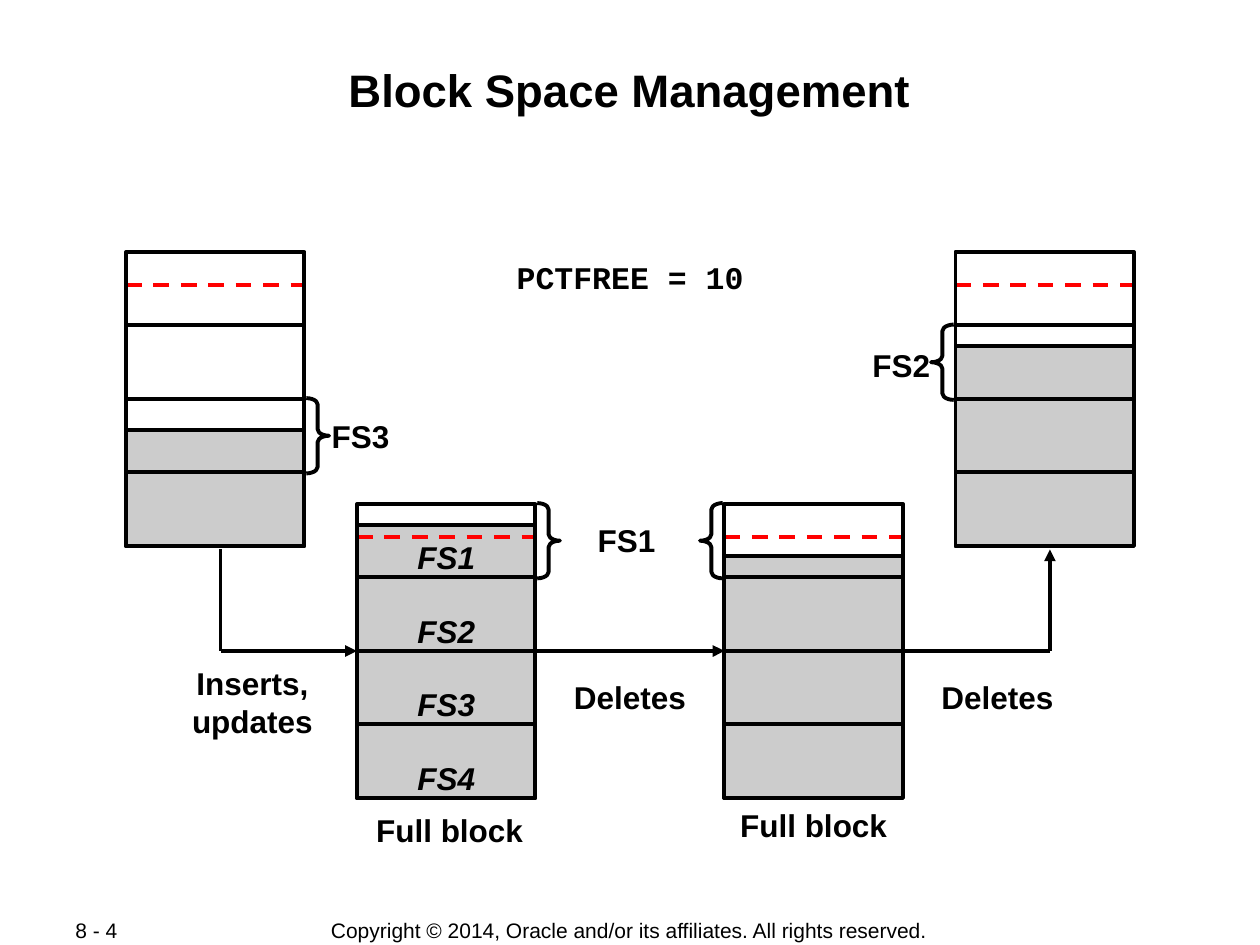
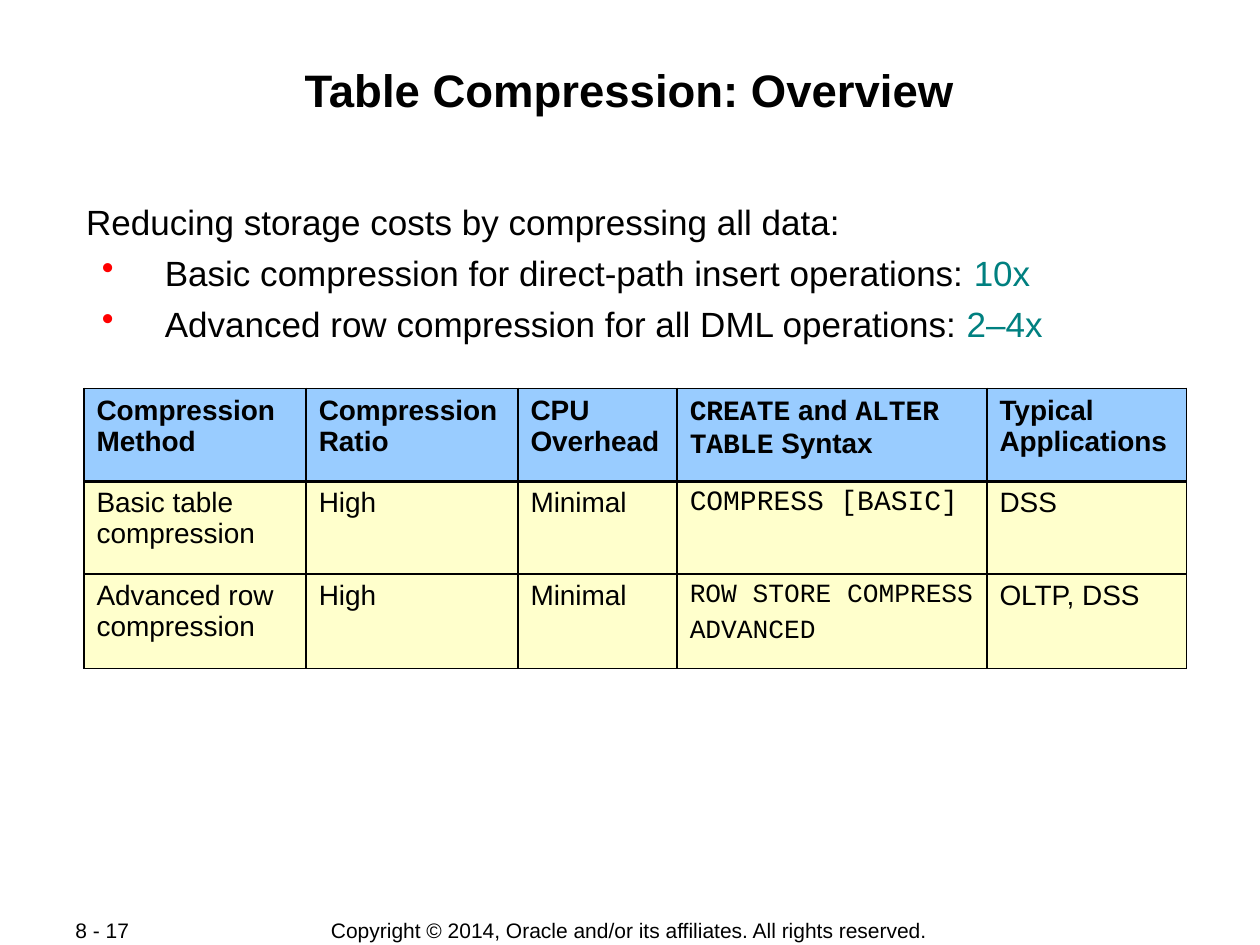
from collections import namedtuple
from dataclasses import dataclass

from lxml.etree import SubElement
from pptx import Presentation
from pptx.dml.color import RGBColor
from pptx.enum.dml import MSO_LINE
from pptx.enum.shapes import MSO_CONNECTOR, MSO_SHAPE
from pptx.enum.text import MSO_ANCHOR, MSO_AUTO_SIZE, PP_ALIGN
from pptx.oxml.ns import qn
from pptx.util import Pt

Box = namedtuple("Box", "x y w h")
Run = namedtuple("Run", "text changes")


@dataclass(frozen=True)
class Theme:
    ink: str = "000000"
    used: str = "CCCCCC"
    accent: str = "FF0000"
    ratio: str = "008080"
    header: str = "99CCFF"
    row: str = "FFFFCC"
    sans: str = "Arial"
    mono: str = "Courier New"
    title: int = 26
    body: int = 20
    label: int = 18
    cell: int = 16
    code: int = 15
    footer: int = 12
    stroke: float = 2.25
    thin: float = 1.08
    thick: float = 2.21


THEME = Theme()
LEVELS = ["FS1", "FS2", "FS3", "FS4"]
LEVEL_HEIGHT = 42
LIMIT_OFFSET = 19
BRACE_WIDTH, BRACE_HEIGHT, BRACE_GAP = 13, 43, 1


def rgb(value):
    return RGBColor.from_string(value)


def points(*lengths):
    return [Pt(length) for length in lengths]


def style(run, size, font=THEME.sans, color=THEME.ink, bold=False, italic=False):
    run.font.size = Pt(size)
    run.font.name = font
    run.font.color.rgb = rgb(color)
    run.font.bold = bold
    run.font.italic = italic


def write(paragraph, parts, **look):
    for part in parts:
        run = paragraph.add_run()
        run.text = part.text
        style(run, **{**look, **part.changes})


def set_insets(frame, inset):
    frame.margin_left = frame.margin_right = Pt(inset)
    frame.margin_top = frame.margin_bottom = Pt(inset)


def add_label(slide, box, text, size=THEME.label, align=PP_ALIGN.CENTER,
              anchor=MSO_ANCHOR.TOP, wrap=True, **look):
    frame = slide.shapes.add_textbox(*points(*box)).text_frame
    frame.word_wrap = wrap
    frame.vertical_anchor = anchor
    paragraph = frame.paragraphs[0]
    paragraph.text = text
    paragraph.alignment = align
    for run in paragraph.runs:
        style(run, size, **look)


def add_outline(slide, kind, box, fill=None):
    shape = slide.shapes.add_shape(kind, *points(*box))
    shape.shadow.inherit = False
    shape.line.color.rgb = rgb(THEME.ink)
    shape.line.width = Pt(THEME.stroke)
    if fill:
        shape.fill.solid()
        shape.fill.fore_color.rgb = rgb(fill)
    else:
        shape.fill.background()
    return shape


def add_line(slide, start, end, color=THEME.ink, dashed=False, arrow=False):
    line = slide.shapes.add_connector(MSO_CONNECTOR.STRAIGHT, *points(*start, *end))
    line.line.color.rgb = rgb(color)
    line.line.width = Pt(THEME.stroke)
    if dashed:
        line.line.dash_style = MSO_LINE.DASH
    if arrow:
        SubElement(line.line._get_or_add_ln(), qn("a:tailEnd"), type="triangle")
    SubElement(line._element.spPr, qn("a:effectLst"))


def add_titled_slide(deck, title, number):
    slide = deck.slides.add_slide(deck.slide_layouts[5])
    heading = slide.shapes.title
    heading.left, heading.top, heading.width, heading.height = points(48, 34.5, 623.5, 69)
    frame = heading.text_frame
    frame.text = title
    frame.auto_size = MSO_AUTO_SIZE.NONE
    frame.vertical_anchor = MSO_ANCHOR.TOP
    set_insets(frame, 0.72)
    frame.paragraphs[0].alignment = PP_ALIGN.CENTER
    style(frame.paragraphs[0].runs[0], THEME.title, bold=True)
    add_label(slide, Box(174.5, 524, 370, 15),
              "Copyright © 2014, Oracle and/or its affiliates. All rights reserved.",
              THEME.footer, anchor=MSO_ANCHOR.MIDDLE)
    add_label(slide, Box(36, 524, 76, 15), number, THEME.footer,
              PP_ALIGN.LEFT, MSO_ANCHOR.MIDDLE)
    return slide


def add_block(slide, box, used_height):
    add_outline(slide, MSO_SHAPE.RECTANGLE,
                Box(box.x, box.y + box.h - used_height, box.w, used_height), THEME.used)
    limit = box.y + LIMIT_OFFSET
    add_line(slide, (box.x, limit), (box.x + box.w, limit), THEME.accent, dashed=True)
    for level in range(len(LEVELS)):
        add_outline(slide, MSO_SHAPE.RECTANGLE,
                    Box(box.x, box.y + level * LEVEL_HEIGHT, box.w, LEVEL_HEIGHT))


def add_level_names(slide, box):
    for level, name in enumerate(LEVELS):
        add_label(slide, Box(box.x + 27, box.y + 16 + level * LEVEL_HEIGHT, 48, 29),
                  name, wrap=False, bold=True, italic=True)


def add_brace(slide, block, level, on_left):
    if on_left:
        kind, x = MSO_SHAPE.LEFT_BRACE, block.x - BRACE_GAP - BRACE_WIDTH
    else:
        kind, x = MSO_SHAPE.RIGHT_BRACE, block.x + block.w + BRACE_GAP
    brace = add_outline(slide, kind, Box(x, block.y + level * LEVEL_HEIGHT - 0.5,
                                         BRACE_WIDTH, BRACE_HEIGHT))
    brace.adjustments[0] = 0.28


def add_flow(slide, inserting, filled, emptied, freed):
    flow_y = filled.y + filled.h / 2
    drop_x, rise_x = inserting.x + 54, freed.x + 54
    below = inserting.y + inserting.h + 2
    add_line(slide, (drop_x, flow_y), (filled.x, flow_y), arrow=True)
    add_line(slide, (filled.x + filled.w, flow_y), (emptied.x, flow_y), arrow=True)
    add_line(slide, (drop_x, flow_y), (drop_x, below))
    add_line(slide, (emptied.x + emptied.w, flow_y), (rise_x, flow_y))
    add_line(slide, (rise_x, flow_y), (rise_x, below), arrow=True)
    add_label(slide, Box(102.5, flow_y + 4, 83.5, 50), "Inserts,\vupdates",
              wrap=False, bold=True)
    for x in (312, 522):
        add_label(slide, Box(x, flow_y + 12, 96, 29), "Deletes", bold=True)


def build_block_space(deck):
    slide = add_titled_slide(deck, "Block Space Management", "8 - 4")
    inserting, filled, emptied, freed = blocks = [
        Box(x, y, 102, LEVEL_HEIGHT * len(LEVELS))
        for x, y in ((72, 144), (204, 288), (414, 288), (546, 144))]
    add_flow(slide, *blocks)
    for block, used_height in zip(blocks, (66, 156, 138, 114)):
        add_block(slide, block, used_height)
    add_level_names(slide, filled)
    for block, level, on_left in ((inserting, 2, False), (filled, 0, False),
                                  (emptied, 0, True), (freed, 1, True)):
        add_brace(slide, block, level, on_left)
    for x, y, name in ((179, 235, "FS3"), (331, 294, "FS1"), (488, 194, "FS2")):
        add_label(slide, Box(x, y, 54, 29), name, bold=True)
    for block, shift, drop in ((filled, -5, 4), (emptied, -7, 1)):
        add_label(slide, Box(block.x + shift, block.y + block.h + drop, 116, 29),
                  "Full block", bold=True)
    add_label(slide, Box(276, 144, 168, 29), "PCTFREE = 10", font=THEME.mono, bold=True)


def add_bullet(paragraph):
    properties = paragraph._p.get_or_add_pPr()
    properties.set("marL", str(Pt(45)))
    properties.set("indent", str(Pt(-36)))
    color = SubElement(properties, qn("a:buClr"))
    SubElement(color, qn("a:srgbClr"), val=THEME.accent)
    SubElement(properties, qn("a:buChar"), char="•")


def add_savings(slide, box):
    frame = slide.shapes.add_textbox(*points(*box)).text_frame
    frame.word_wrap = True
    set_insets(frame, 0.72)
    intro = frame.paragraphs[0]
    intro.text = "Reducing storage costs by compressing all data:"
    style(intro.runs[0], THEME.body)
    for method, ratio in (
            ("Basic compression for direct-path insert operations: ", "10x"),
            ("Advanced row compression for all DML operations: ", "2–4x")):
        paragraph = frame.add_paragraph()
        paragraph.level = 1
        add_bullet(paragraph)
        paragraph.space_before = Pt(5)
        write(paragraph, [Run(method, {}), Run(ratio, {"color": THEME.ratio})],
              size=THEME.body)


def set_borders(cell, **widths):
    properties = cell._tc.get_or_add_tcPr()
    for position, side in enumerate(("L", "R", "T", "B")):
        border = properties.makeelement(qn(f"a:ln{side}"),
                                        {"w": str(Pt(widths.get(side, THEME.thin)))})
        fill = SubElement(border, qn("a:solidFill"))
        SubElement(fill, qn("a:srgbClr"), val=THEME.ink)
        properties.insert(position, border)


def fill_cell(cell, content, is_header):
    cell.fill.solid()
    cell.fill.fore_color.rgb = rgb(THEME.header if is_header else THEME.row)
    paragraphs = [[Run(content, {})]] if isinstance(content, str) else content
    for index, parts in enumerate(paragraphs):
        paragraph = cell.text_frame.paragraphs[0]
        if index:
            paragraph = cell.text_frame.add_paragraph()
            paragraph.space_before = Pt(3.7)
        write(paragraph, parts, size=THEME.cell, bold=is_header)


def add_methods_table(slide, box):
    mono = {"font": THEME.mono}
    code = {"font": THEME.mono, "size": THEME.code}
    syntax = [[Run("CREATE", mono), Run(" and ", {}),
               Run("ALTER TABLE", mono), Run(" Syntax", {})]]
    rows = [
        ["Compression Method", "Compression Ratio", "CPU Overhead", syntax,
         "Typical Applications"],
        ["Basic table compression", "High", "Minimal",
         [[Run("COMPRESS [BASIC]", mono)]], "DSS"],
        ["Advanced row compression", "High", "Minimal",
         [[Run("ROW STORE COMPRESS", code)], [Run("ADVANCED", code)]], "OLTP, DSS"],
    ]
    table = slide.shapes.add_table(len(rows), len(rows[0]), *points(*box)).table
    for column, width in zip(table.columns, (127, 121, 91, 177, 114)):
        column.width = Pt(width)
    for row, height in zip(table.rows, (53, 53, 54)):
        row.height = Pt(height)
    borders = ({"B": THEME.thick}, {"T": THEME.thick}, {})
    for r, contents in enumerate(rows):
        for c, content in enumerate(contents):
            cell = table.cell(r, c)
            fill_cell(cell, content, r == 0)
            set_borders(cell, **borders[r])


def build_compression(deck):
    slide = add_titled_slide(deck, "Table Compression: Overview", "8 - 17")
    add_savings(slide, Box(48.5, 114, 623.5, 84))
    add_methods_table(slide, Box(48, 222, 630, 160))


def main():
    deck = Presentation()
    deck.slide_width, deck.slide_height = points(720, 540)
    build_block_space(deck)
    build_compression(deck)
    deck.save("out.pptx")


if __name__ == "__main__":
    main()
